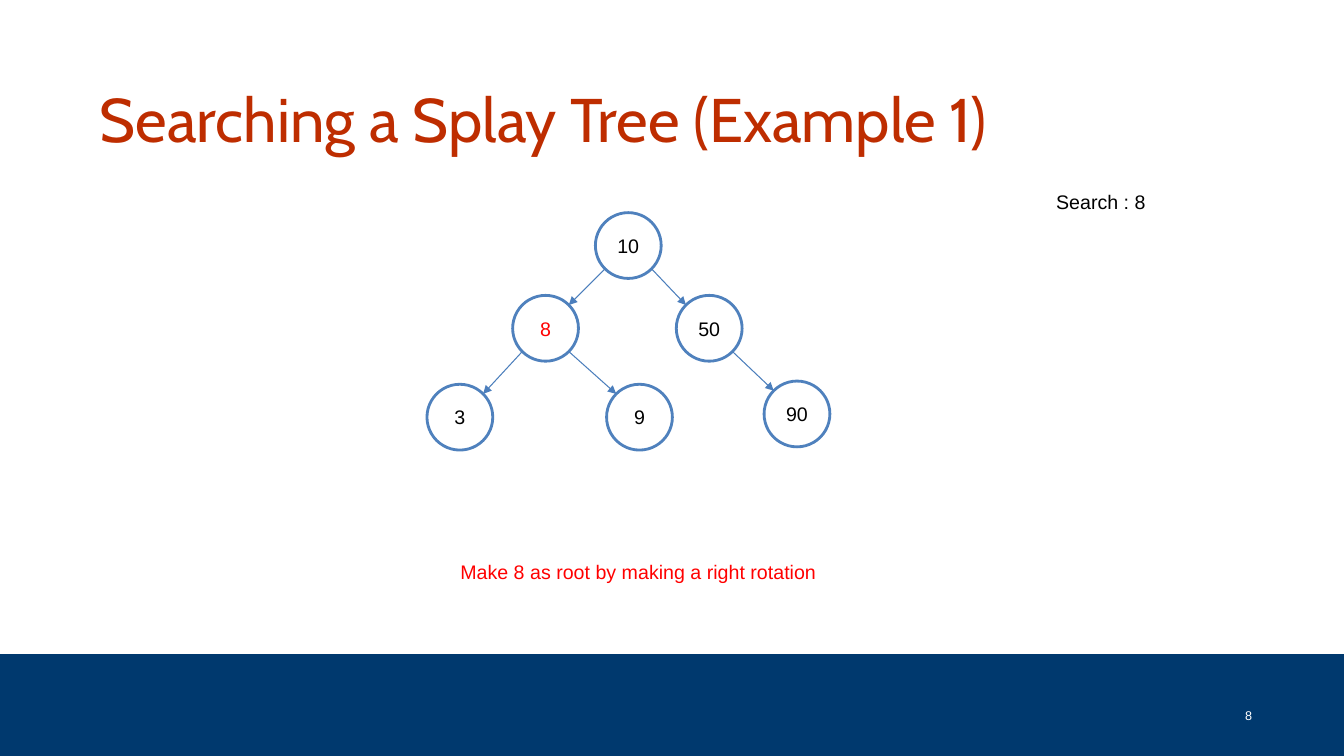
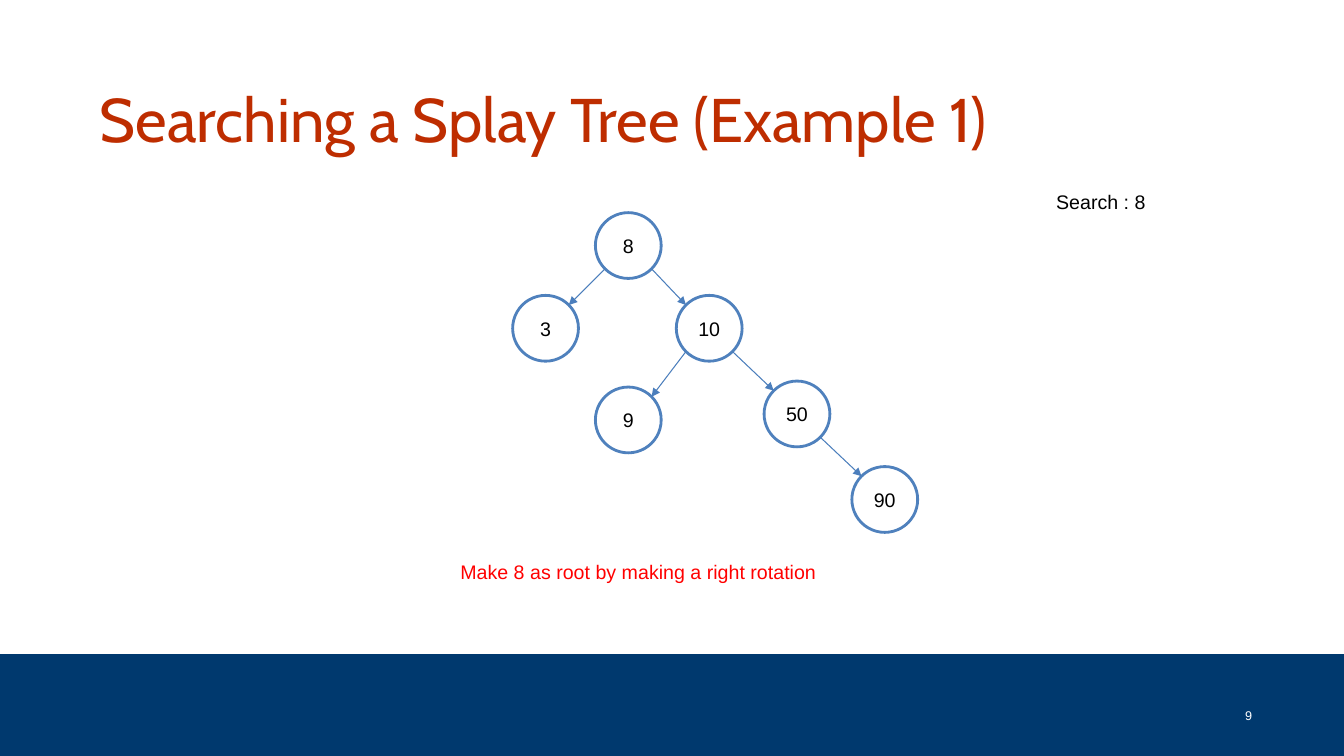
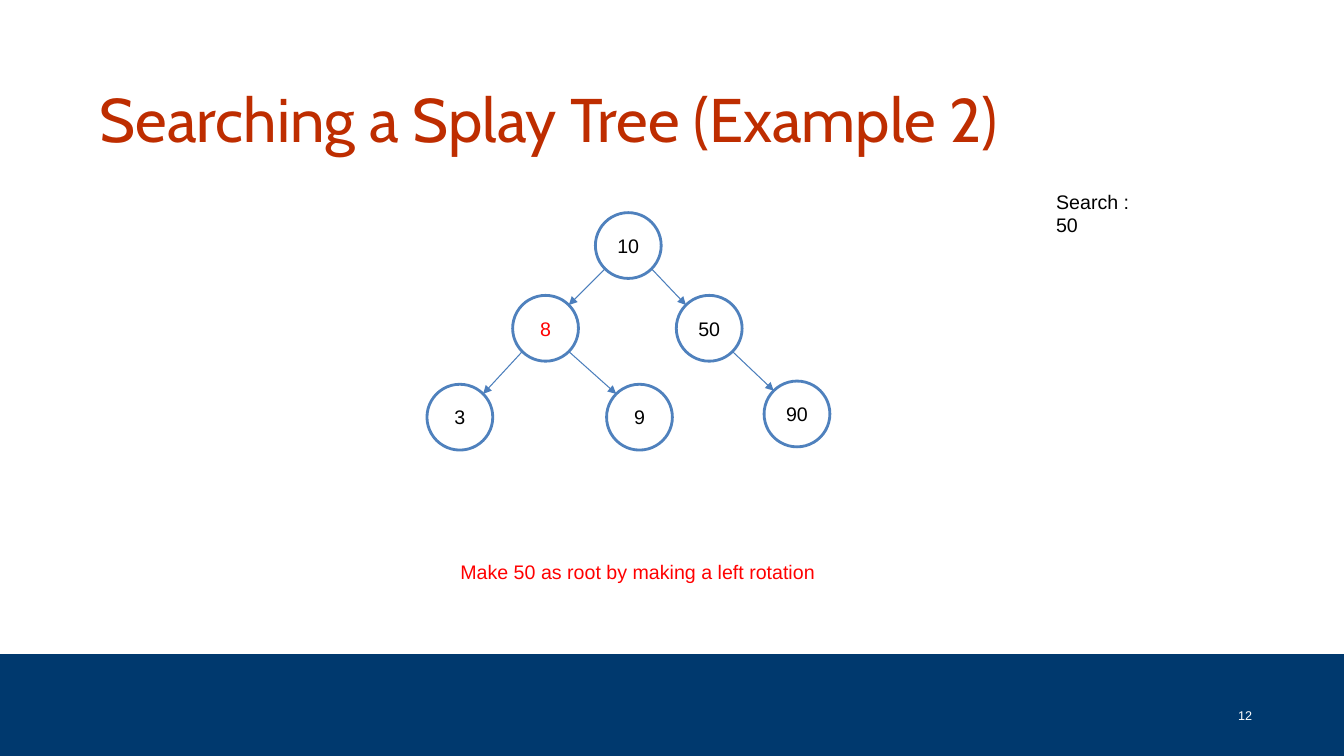
from math import sqrt

from lxml import etree
from pptx import Presentation
from pptx.dml.color import RGBColor
from pptx.enum import shapes, text
from pptx.oxml import ns
from pptx.util import Pt

NAVY = RGBColor(0x00, 0x39, 0x6E)
RUST = RGBColor(0xBE, 0x2D, 0x00)
RING = RGBColor(0x4F, 0x81, 0xBD)
ARROW = RGBColor(0x4B, 0x7E, 0xBC)
WHITE = RGBColor(0xFF, 0xFF, 0xFF)
BLACK = RGBColor(0x00, 0x00, 0x00)
RED = RGBColor(0xFF, 0x00, 0x00)

WIDTH, HEIGHT = 960, 540
BAND_TOP = 467.3
NODE_SIZE = 47
CORNER = NODE_SIZE / 2 / sqrt(2)  # from a node's centre to its diagonal points

# Node centres; "LR" is the right child of the root's left child.
SPOTS = {
    "": (448.8, 175.4),
    "L": (389.7, 234.5),
    "R": (506.6, 234.5),
    "LL": (328.5, 298),
    "LR": (456.8, 298),
    "RL": (448.8, 300),
    "RR": (569.3, 295.7),
    "RRR": (632, 356.8),
}

UNSORTED = {"": "10", "L": "8", "LL": "3", "LR": "9", "R": "50", "RR": "90"}
ROTATED = {"": "8", "L": "3", "R": "10", "RL": "9", "RR": "50", "RRR": "90"}

# Page number, example, searched key, rotation, tree, highlighted spot
PAGES = [
    (8, 1, 8, "right", UNSORTED, "L"),
    (9, 1, 8, "right", ROTATED, None),
    (12, 2, 50, "left", UNSORTED, "L"),
]


def write(frame, words, size, color, font="Arial",
          align=text.PP_ALIGN.LEFT, anchor=text.MSO_ANCHOR.TOP):
    frame.vertical_anchor = anchor
    para = frame.paragraphs[0]
    para.alignment = align
    span = para.add_run()
    span.text = words
    span.font.name = font
    span.font.size = Pt(size)
    span.font.color.rgb = color


def add_label(page, words, left, top, width, height, size, color, **style):
    box = page.shapes.add_textbox(Pt(left), Pt(top), Pt(width), Pt(height))
    box.text_frame.word_wrap = False
    write(box.text_frame, words, size, color, **style)


def add_title(page, words):
    title = page.shapes.title
    title.left, title.top, title.width, title.height = Pt(64), Pt(24), Pt(816), Pt(90)
    title.text_frame.auto_size = text.MSO_AUTO_SIZE.NONE
    write(title.text_frame, words, 44, RUST, "Cabin",
          anchor=text.MSO_ANCHOR.BOTTOM)


def add_node(page, value, spot, color):
    x, y = SPOTS[spot]
    node = page.shapes.add_shape(
        shapes.MSO_SHAPE.OVAL, Pt(x - NODE_SIZE / 2), Pt(y - NODE_SIZE / 2),
        Pt(NODE_SIZE), Pt(NODE_SIZE))
    node.shadow.inherit = False
    node.fill.solid()
    node.fill.fore_color.rgb = WHITE
    node.line.color.rgb = RING
    node.line.width = Pt(2)
    write(node.text_frame, value, 14, color,
          align=text.PP_ALIGN.CENTER, anchor=text.MSO_ANCHOR.MIDDLE)


def add_branch(page, spot):
    """Draw the arrow from the parent of a spot to the spot."""
    parent_x, parent_y = SPOTS[spot[:-1]]
    x, y = SPOTS[spot]
    shift = CORNER if spot.endswith("R") else -CORNER
    branch = page.shapes.add_connector(
        shapes.MSO_CONNECTOR.STRAIGHT,
        Pt(parent_x + shift), Pt(parent_y + CORNER), Pt(x - shift), Pt(y - CORNER))
    branch.line.color.rgb = ARROW
    branch.line.width = Pt(0.75)
    etree.SubElement(branch.line._get_or_add_ln(), ns.qn("a:tailEnd"), type="triangle")
    etree.SubElement(branch.element.spPr, ns.qn("a:effectLst"))


def add_tree(page, tree, highlighted):
    for spot, value in tree.items():
        add_node(page, value, spot, RED if spot == highlighted else BLACK)
    for spot in filter(None, tree):
        add_branch(page, spot)


def move_band_to_layout(page):
    """Draw the footer band, then put it behind everything on the layout."""
    band = page.shapes.add_shape(
        shapes.MSO_SHAPE.RECTANGLE, 0, Pt(BAND_TOP), Pt(WIDTH), Pt(HEIGHT - BAND_TOP))
    band.shadow.inherit = False
    band.fill.solid()
    band.fill.fore_color.rgb = NAVY
    band.line.fill.background()
    page.slide_layout.shapes.element.insert(2, band.element)


def main():
    deck = Presentation()
    deck.slide_width, deck.slide_height = Pt(WIDTH), Pt(HEIGHT)
    layout = deck.slide_layouts.get_by_name("Title Only")
    for number, example, key, rotation, tree, highlighted in PAGES:
        page = deck.slides.add_slide(layout)
        add_title(page, f"Searching a Splay Tree (Example {example})")
        add_tree(page, tree, highlighted)
        add_label(page, f"Search : {key}", 747.3, 131.8, 80, 24.5, 14, BLACK)
        add_label(page, f"Make {key} as root by making a {rotation} rotation",
                  321.7, 396.5, 270, 24.5, 14, RED)
        add_label(page, str(number), 874, 505.4, 27.4, 14.4, 9, WHITE,
                  align=text.PP_ALIGN.RIGHT, anchor=text.MSO_ANCHOR.BOTTOM)
    move_band_to_layout(deck.slides[0])
    deck.save("out.pptx")


if __name__ == "__main__":
    main()
